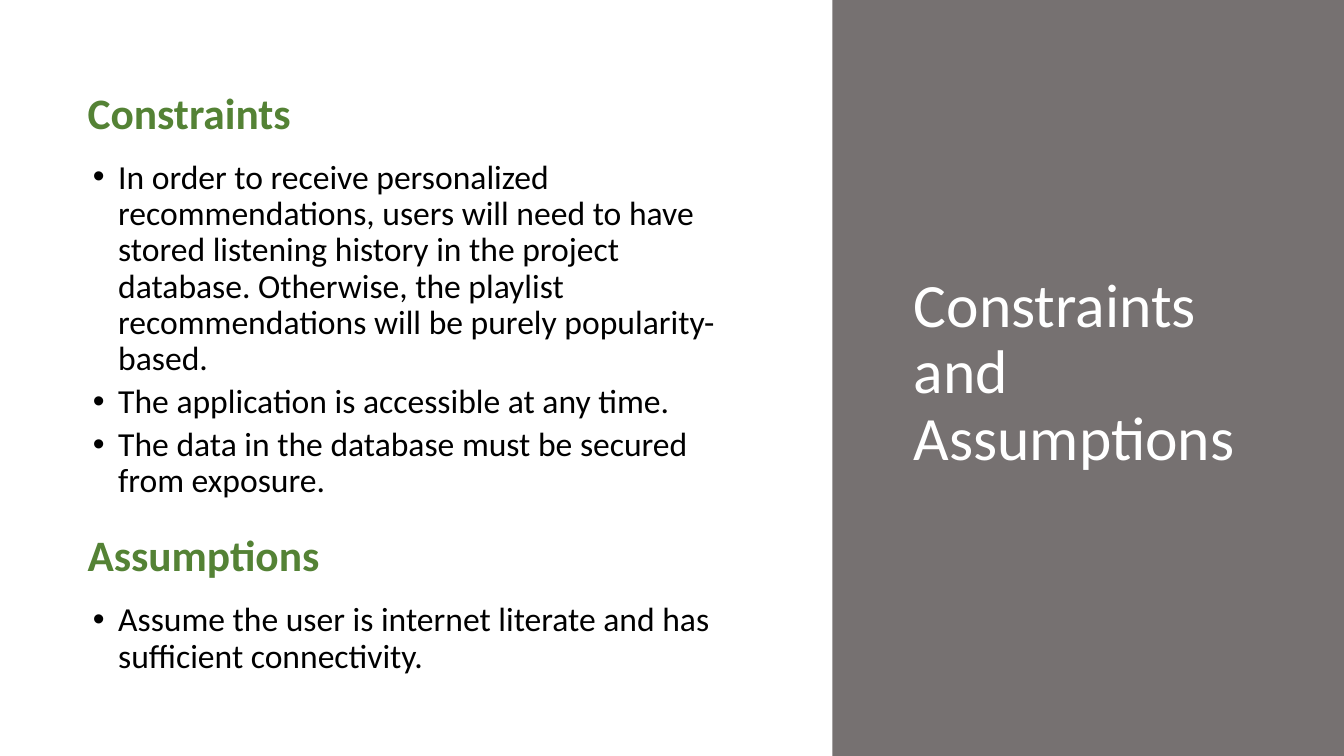
import pptx
import pptx.util
import pptx.dml.color
import pptx.enum.shapes
import pptx.enum.text
import lxml.etree

Cm = pptx.util.Cm
Pt = pptx.util.Pt
SHAPE = pptx.enum.shapes.MSO_SHAPE
ANCHOR = pptx.enum.text.MSO_ANCHOR
ALIGN = pptx.enum.text.PP_ALIGN

SLIDE_W, SLIDE_H = 33.87, 19.05
HEADING_H = 2.06
SECTIONS = [
    ("Constraints", 9.09, [
        "In order to receive personalized recommendations, users will need to "
        "have stored listening history in the project database. Otherwise, the "
        "playlist recommendations will be purely popularity-based.",
        "The application is accessible at any time.",
        "The data in the database must be secured from exposure.",
    ]),
    ("Assumptions", 2.08, [
        "Assume the user is internet literate and has sufficient connectivity.",
    ]),
]


def rgb(color):
    return pptx.dml.color.RGBColor.from_string(color)


def add_filled(slide, kind, x, y, w, h, color):
    sp = slide.shapes.add_shape(kind, Cm(x), Cm(y), Cm(w), Cm(h))
    sp.shadow.inherit = False
    sp.fill.solid()
    sp.fill.fore_color.rgb = rgb(color)
    sp.line.fill.background()
    return sp


def set_frame(sp, anchor, left, top, right, bottom):
    tf = sp.text_frame
    tf.word_wrap = True
    tf.vertical_anchor = anchor
    tf.margin_left, tf.margin_right = Cm(left), Cm(right)
    tf.margin_top, tf.margin_bottom = Cm(top), Cm(bottom)
    return tf


def add_text(p, text, size, color, bold=False, after=0):
    p.alignment = ALIGN.LEFT
    p.line_spacing = 0.9
    p.space_after = Pt(after)
    r = p.add_run()
    r.text = text
    r.font.name = "Calibri"
    r.font.size = Pt(size)
    r.font.bold = bold
    r.font.color.rgb = rgb(color)


def add_bullet(p):
    pPr = p._p.get_or_add_pPr()
    pPr.set("marL", str(Cm(0.64)))
    pPr.set("indent", str(-Cm(0.64)))
    ns = pptx.oxml.ns.qn
    lxml.etree.SubElement(pPr, ns("a:buFont")).set("typeface", "Arial")
    lxml.etree.SubElement(pPr, ns("a:buChar")).set("char", "•")


def title_panel(slide, x, y, w, h):
    add_filled(slide, SHAPE.RECTANGLE, x, y, w, h, "767171")
    sp = slide.shapes.add_textbox(Cm(x + 1.8), Cm(y + 1.78), Cm(10.19), Cm(15.29))
    tf = set_frame(sp, ANCHOR.MIDDLE, 0.25, 0.13, 0.25, 0.13)
    add_text(tf.paragraphs[0], "Constraints and Assumptions", 44, "FFFFFF")


def section(slide, x, y, w, body_h, heading, items):
    sp = add_filled(slide, SHAPE.ROUNDED_RECTANGLE, x, y, w, HEADING_H, "FFFFFF")
    tf = set_frame(sp, ANCHOR.MIDDLE, 0.33, 0.33, 0.33, 0.33)
    add_text(tf.paragraphs[0], heading, 31, "548235", bold=True)

    sp = slide.shapes.add_textbox(Cm(x), Cm(y + HEADING_H), Cm(w), Cm(body_h))
    tf = set_frame(sp, ANCHOR.TOP, 0.56, 0.1, 0.61, 0.1)
    for i, item in enumerate(items):
        p = tf.add_paragraph() if i else tf.paragraphs[0]
        add_text(p, item, 24, "000000", after=4.8)
        add_bullet(p)


def section_list(slide, x, y, w):
    for heading, body_h, items in SECTIONS:
        section(slide, x, y, w, body_h, heading, items)
        y += HEADING_H + body_h


def main():
    prs = pptx.Presentation()
    prs.slide_width, prs.slide_height = Cm(SLIDE_W), Cm(SLIDE_H)
    slide = prs.slides.add_slide(prs.slide_layouts[6])
    title_panel(slide, 20.98, 0, SLIDE_W - 20.98, SLIDE_H)
    section_list(slide, 1.78, 1.88, 17.42)
    prs.save("out.pptx")


if __name__ == "__main__":
    main()
